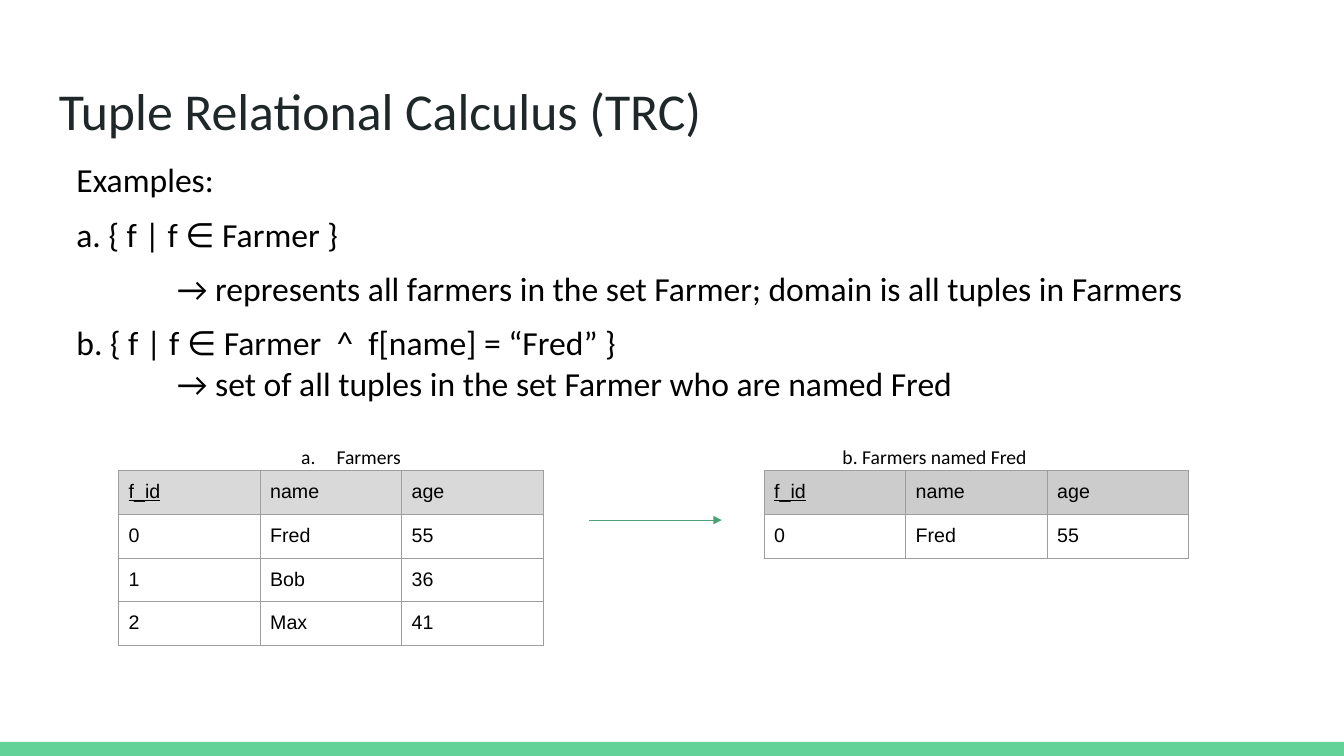
"""Build the slide on tuple relational calculus."""
import pptx
import pptx.dml.color
import pptx.enum.shapes
import pptx.oxml
import pptx.oxml.ns
import pptx.util
from lxml import etree

Pt = pptx.util.Pt
RGBColor = pptx.dml.color.RGBColor
qn = pptx.oxml.ns.qn

WHITE = RGBColor(0xFF, 0xFF, 0xFF)
BLACK = RGBColor(0x00, 0x00, 0x00)
TITLE_INK = RGBColor(0x20, 0x27, 0x29)
BAR_GREEN = RGBColor(0x63, 0xD2, 0x97)
ARROW_GREEN = RGBColor(0x4B, 0xA1, 0x73)
BORDER_GRAY = RGBColor(0x9E, 0x9E, 0x9E)
FARMERS_HEADER = RGBColor(0xD9, 0xD9, 0xD9)
RESULT_HEADER = RGBColor(0xCC, 0xCC, 0xCC)

COLUMN_WIDTH = Pt(101.1)
ROW_HEIGHT = Pt(30.2)
TABLE_TOP = 336.2
CAPTION_TOP = 310.3
HEADER = ("f_id", "name", "age")
FRED = ("0", "Fred", "55")
FARMERS = [HEADER, FRED, ("1", "Bob", "36"), ("2", "Max", "41")]

EXAMPLES = [
    ("Examples:", 0, 0),
    ("a. { f | f ∈ Farmer }", 10, 0),
    ("→ represents all farmers in the set Farmer; domain is all tuples in Farmers", 10, 36),
    ("b. { f | f ∈ Farmer  ^  f[name] = “Fred” }", 10, 0),
    ("→ set of all tuples in the set Farmer who are named Fred", 0, 36),
]


def style_font(paragraph, name, size, color):
    """Set typeface, size and colour on every run of a paragraph."""
    for run in paragraph.runs:
        run.font.name = name
        run.font.size = Pt(size)
        run.font.color.rgb = color


def set_indent(paragraph, left, first):
    """Set the left margin and the first-line indent of a paragraph."""
    properties = paragraph._p.get_or_add_pPr()
    properties.set("marL", str(Pt(left)))
    properties.set("indent", str(Pt(first)))


def set_margins(target, inset):
    """Give a text frame or a cell the same inset on all sides."""
    target.margin_left = target.margin_right = Pt(inset)
    target.margin_top = target.margin_bottom = Pt(inset)


def add_text(slide, box, text, size, color=BLACK, inset=7.2):
    """Add a wrapping text box and return its paragraphs."""
    text_frame = slide.shapes.add_textbox(*map(Pt, box)).text_frame
    text_frame.word_wrap = True
    set_margins(text_frame, inset)
    text_frame.text = text
    for paragraph in text_frame.paragraphs:
        style_font(paragraph, "Calibri", size, color)
    return text_frame.paragraphs


def add_letter_numbering(paragraph):
    """Number a paragraph with a lower-case letter and a period."""
    set_indent(paragraph, 36, -25.2)
    numbering = etree.SubElement(paragraph._p.get_or_add_pPr(), qn("a:buAutoNum"))
    numbering.set("type", "alphaLcPeriod")


def add_borders(cell):
    """Draw a thin gray line on each side of a cell."""
    properties = cell._tc.get_or_add_tcPr()
    for side in ("lnL", "lnR", "lnT", "lnB"):
        line = etree.SubElement(properties, qn(f"a:{side}"), w=str(Pt(0.75)))
        fill = etree.SubElement(line, qn("a:solidFill"))
        etree.SubElement(fill, qn("a:srgbClr"), val=str(BORDER_GRAY))


def add_relation(slide, left, rows, header_color):
    """Add a relation as a table whose key column name is underlined."""
    size = COLUMN_WIDTH * len(HEADER), ROW_HEIGHT * len(rows)
    table = slide.shapes.add_table(
        len(rows), len(HEADER), Pt(left), Pt(TABLE_TOP), *size).table
    for column in table.columns:
        column.width = COLUMN_WIDTH
    for row_index, values in enumerate(rows):
        table.rows[row_index].height = ROW_HEIGHT
        for column_index, value in enumerate(values):
            cell = table.cell(row_index, column_index)
            set_margins(cell, 7.2)
            add_borders(cell)
            cell.fill.solid()
            cell.fill.fore_color.rgb = WHITE if row_index else header_color
            cell.text_frame.text = value
            paragraph = cell.text_frame.paragraphs[0]
            style_font(paragraph, "Arial", 14, BLACK)
            paragraph.runs[0].font.bold = False
            paragraph.runs[0].font.underline = value == "f_id"


def add_bar(slide, box):
    """Add the plain green bar at the foot of the slide."""
    bar = slide.shapes.add_shape(
        pptx.enum.shapes.MSO_SHAPE.RECTANGLE, *map(Pt, box))
    bar.shadow.inherit = False
    bar.fill.solid()
    bar.fill.fore_color.rgb = BAR_GREEN
    bar.line.fill.background()


def add_arrow(slide, start, end, height):
    """Add a thin horizontal arrow pointing to the right."""
    arrow = slide.shapes.add_connector(
        pptx.enum.shapes.MSO_CONNECTOR.STRAIGHT, Pt(start), Pt(height), Pt(end), Pt(height))
    arrow.line.color.rgb = ARROW_GREEN
    arrow.line.width = Pt(0.75)
    etree.SubElement(arrow.line._get_or_add_ln(), qn("a:tailEnd"), type="triangle")
    etree.SubElement(arrow._element.spPr, qn("a:effectLst"))


def main():
    """Build the slide and save it."""
    presentation = pptx.Presentation()
    presentation.slide_width = Pt(960)
    presentation.slide_height = Pt(540)
    slide = presentation.slides.add_slide(presentation.slide_layouts[6])

    add_bar(slide, (0, 530, 960, 10))
    add_text(slide, (32.4, 46.8, 894.2, 59.8),
             "Tuple Relational Calculus (TRC)", 37, TITLE_INK, inset=9.6)

    lines = "\n".join(text for text, _, _ in EXAMPLES)
    paragraphs = add_text(slide, (47.5, 106.6, 905, 163.4), lines, 24)
    for paragraph, (_, space_before, indent) in zip(paragraphs, EXAMPLES):
        paragraph.space_before = Pt(space_before)
        set_indent(paragraph, indent, indent)

    add_relation(slide, 84.7, FARMERS, FARMERS_HEADER)
    add_relation(slide, 545.8, [HEADER, FRED], RESULT_HEADER)
    farmers_caption = add_text(slide, (197.3, CAPTION_TOP, 128.9, 20.2), "Farmers", 14)
    add_letter_numbering(farmers_caption[0])
    add_text(slide, (594.7, CAPTION_TOP, 237.6, 20.2), "b. Farmers named Fred", 14)
    add_arrow(slide, 421, 515.5, 371.5)

    presentation.save("out.pptx")


if __name__ == "__main__":
    main()
